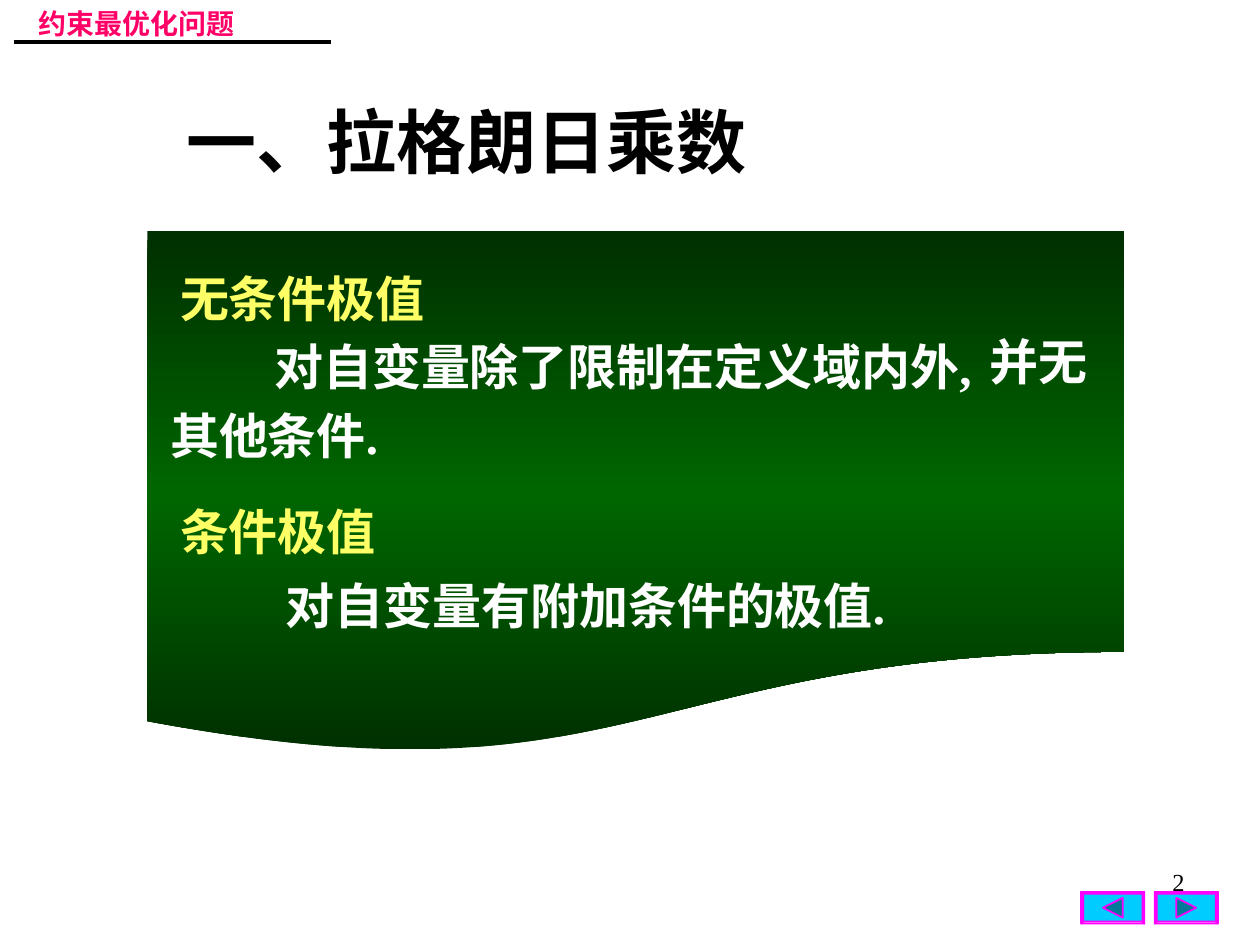
from copy import deepcopy

from lxml import etree
from pptx import Presentation
from pptx.dml.color import RGBColor
from pptx.enum.shapes import MSO_CONNECTOR, MSO_SHAPE
from pptx.enum.text import MSO_ANCHOR, PP_ALIGN
from pptx.oxml.ns import qn
from pptx.util import Cm, Pt

DOCUMENT = MSO_SHAPE.FLOWCHART_DOCUMENT
STRAIGHT = MSO_CONNECTOR.STRAIGHT
TOP, MIDDLE = MSO_ANCHOR.TOP, MSO_ANCHOR.MIDDLE
LEFT, CENTER, RIGHT = PP_ALIGN.LEFT, PP_ALIGN.CENTER, PP_ALIGN.RIGHT

BLACK = RGBColor(0x00, 0x00, 0x00)
WHITE = RGBColor(0xFF, 0xFF, 0xFF)
YELLOW = RGBColor(0xFF, 0xFF, 0x66)
PINK = RGBColor(0xFF, 0x00, 0x66)
MAGENTA = RGBColor(0xFF, 0x00, 0xFF)
CYAN = RGBColor(0x00, 0xCC, 0xFF)
TEAL = RGBColor(0x00, 0x7A, 0x99)
DARK_GREEN = RGBColor(0x00, 0x2F, 0x00)
GREEN = RGBColor(0x00, 0x66, 0x00)

LATIN_FONT = "Times New Roman"
CHINESE_FONT = "Noto Sans CJK SC"

BUTTON_TOP, BUTTON_WIDTH, BUTTON_HEIGHT, BEVEL = 17.98, 1.27, 0.64, 0.04

# text, left, top, width in cm, colour
PANEL_TEXTS = [
    ("无条件极值", 3.38, 5.28, 6.55, YELLOW),
    ("对自变量除了限制在定义域内外,", 5.28, 6.65, 16.08, WHITE),
    ("并无", 19.69, 6.55, 2.92, WHITE),
    ("其他条件.", 3.18, 8.05, 5.51, WHITE),
    ("条件极值", 3.38, 9.98, 6.55, YELLOW),
    ("对自变量有附加条件的极值.", 5.51, 11.48, 13.34, WHITE),
]


def add_text(shapes, text, box, size, color, bold=True, align=LEFT,
             anchor=MIDDLE, font_name=LATIN_FONT):
    shape = shapes.add_textbox(*(Cm(length) for length in box))
    frame = shape.text_frame
    frame.word_wrap = True
    frame.vertical_anchor = anchor
    paragraph = frame.paragraphs[0]
    paragraph.alignment = align
    run = paragraph.add_run()
    run.text = text
    run.font.name = font_name
    run.font.size = Pt(size)
    run.font.bold = bold
    run.font.color.rgb = color
    east_asian = etree.SubElement(run.font._element, qn("a:ea"))
    east_asian.set("typeface", CHINESE_FONT)


def add_polygons(shapes, polygons, color):
    """Draw closed outlines, given as points in cm, as one freeform."""
    outlines = [[(Cm(x), Cm(y)) for x, y in points] for points in polygons]
    builder = shapes.build_freeform(*outlines[0][0], scale=1.0)
    for index, (start, *others) in enumerate(outlines):
        if index:
            builder.move_to(*start)
        builder.add_line_segments(others, close=True)
    shape = builder.convert_to_shape()
    shape.shadow.inherit = False
    shape.fill.solid()
    shape.fill.fore_color.rgb = color
    shape.line.color.rgb = MAGENTA
    shape.line.width = Pt(1)


def rectangle_corners(left, top, width, height):
    right, bottom = left + width, top + height
    return [(left, top), (right, top), (right, bottom), (left, bottom)]


def add_button(shapes, left, points_right):
    outer = rectangle_corners(left, BUTTON_TOP, BUTTON_WIDTH, BUTTON_HEIGHT)
    inner = rectangle_corners(left + BEVEL, BUTTON_TOP + BEVEL,
                              BUTTON_WIDTH - 2 * BEVEL, BUTTON_HEIGHT - 2 * BEVEL)
    bevels = []
    for side in range(4):
        following = (side + 1) % 4
        bevels.append([outer[side], outer[following], inner[following], inner[side]])
    add_polygons(shapes, [outer] + bevels, CYAN)

    center_x, center_y = left + BUTTON_WIDTH / 2, BUTTON_TOP + BUTTON_HEIGHT / 2
    reach = 0.2 if points_right else -0.2
    triangle = [(center_x - reach, center_y - 0.2), (center_x + reach, center_y),
                (center_x - reach, center_y + 0.2)]
    add_polygons(shapes, [triangle], TEAL)


def add_panel(shapes):
    panel = shapes.add_shape(DOCUMENT, Cm(2.97), Cm(4.65), Cm(19.69), Cm(10.59))
    panel.shadow.inherit = False
    panel.line.fill.background()
    panel.fill.gradient()
    panel.fill.gradient_angle = 90
    stop_list = panel._element.spPr.find(qn("a:gradFill")).find(qn("a:gsLst"))
    stop_list.append(deepcopy(stop_list[-1]))
    colors = (DARK_GREEN, GREEN, DARK_GREEN)
    for index, (stop, color) in enumerate(zip(panel.fill.gradient_stops, colors)):
        stop.position = index / 2
        stop.color.rgb = color


def add_header(shapes):
    group = shapes.add_group_shape()
    add_text(group.shapes, "约束最优化问题", (0.53, 0, 5.84, 0.94), 16, PINK,
             font_name=CHINESE_FONT)
    rule = group.shapes.add_connector(STRAIGHT, Cm(0.28), Cm(0.84), Cm(6.68), Cm(0.84))
    rule.line.color.rgb = BLACK
    rule.line.width = Pt(2.25)
    etree.SubElement(rule._element.spPr, qn("a:effectLst"))


def main():
    presentation = Presentation()
    presentation.slide_width = Cm(25.4)
    presentation.slide_height = Cm(19.05)
    slide = presentation.slides.add_slide(presentation.slide_layouts[6])
    shapes = slide.shapes

    add_button(shapes, 23.28, points_right=True)
    add_button(shapes, 21.8, points_right=False)
    add_panel(shapes)
    for text, left, top, width, color in PANEL_TEXTS:
        add_text(shapes, text, (left, top, width, 1.45), 28, color)
    add_text(shapes, "一、拉格朗日乘数", (1.91, 1.85, 14.99, 1.96), 40, BLACK, align=CENTER)
    add_header(shapes)
    add_text(shapes, "2", (18.21, 17.35, 5.92, 1.32), 14, BLACK, bold=False,
             align=RIGHT, anchor=TOP)
    presentation.save("out.pptx")


if __name__ == "__main__":
    main()
